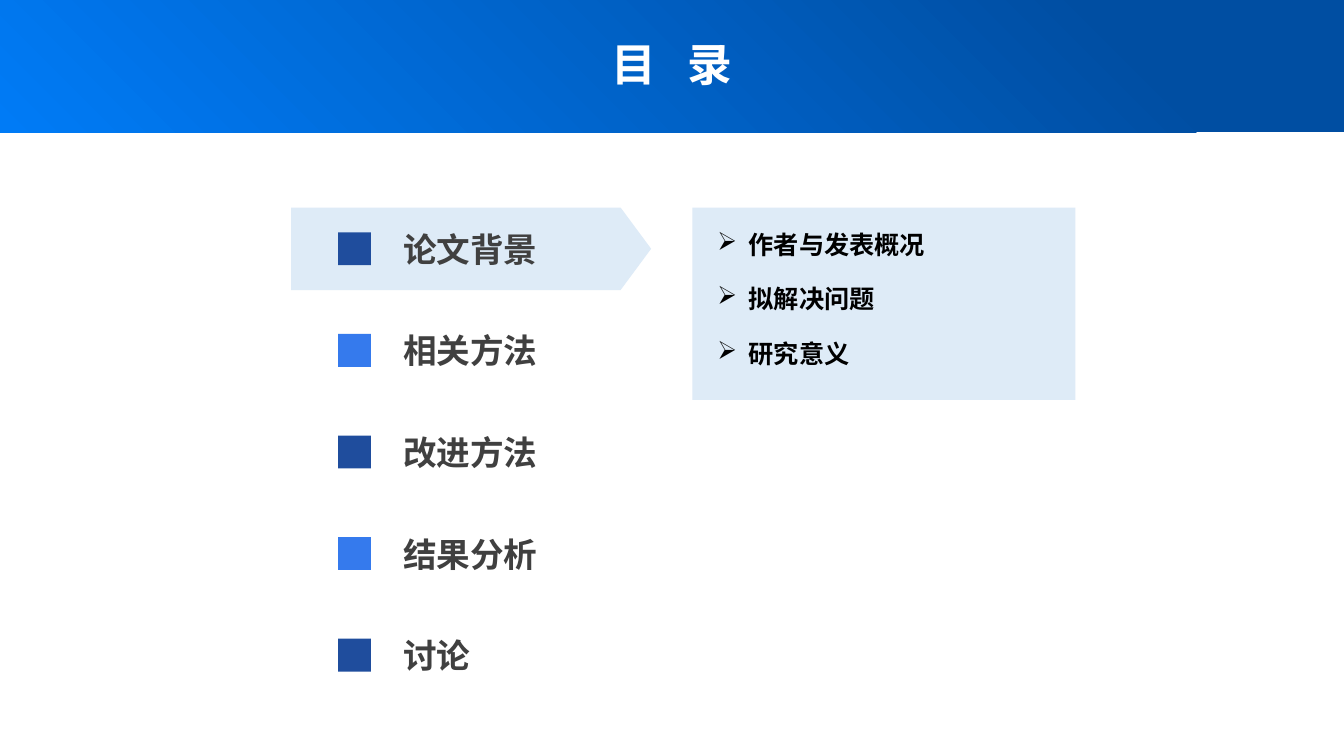
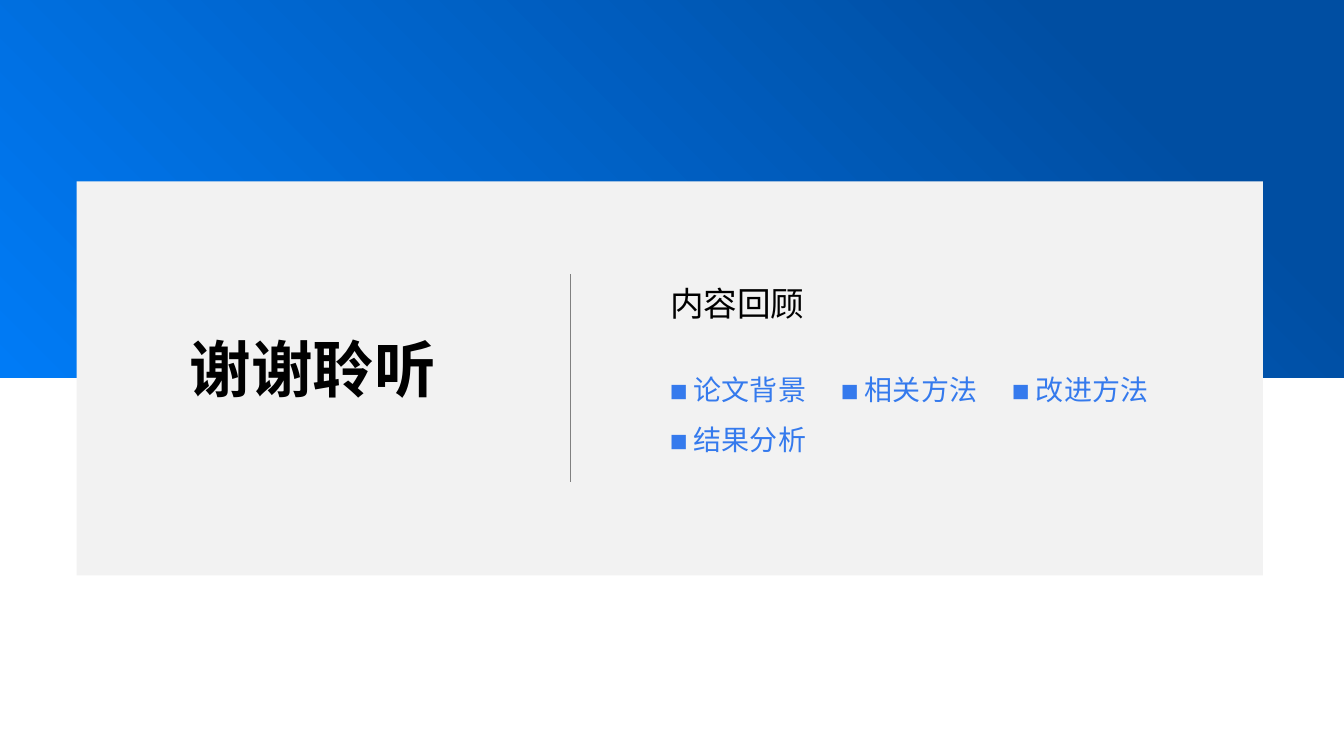
from lxml import etree
from pptx import Presentation
from pptx.dml.color import RGBColor
from pptx.enum.shapes import MSO_CONNECTOR, MSO_SHAPE
from pptx.enum.text import MSO_ANCHOR, MSO_AUTO_SIZE, PP_ALIGN
from pptx.oxml.ns import qn
from pptx.util import Cm, Pt

RECTANGLE = MSO_SHAPE.RECTANGLE
PENTAGON = MSO_SHAPE.PENTAGON
STRAIGHT = MSO_CONNECTOR.STRAIGHT
TOP = MSO_ANCHOR.TOP
MIDDLE = MSO_ANCHOR.MIDDLE
LEFT = PP_ALIGN.LEFT
CENTER = PP_ALIGN.CENTER
FIXED_SIZE = MSO_AUTO_SIZE.NONE

BAND_DARK = RGBColor(0x00, 0x4E, 0xA2)
BAND_BRIGHT = RGBColor(0x00, 0x7B, 0xF6)
NAVY = RGBColor(0x1F, 0x4D, 0x9D)
BLUE = RGBColor(0x35, 0x7A, 0xED)
PALE_BLUE = RGBColor(0xDE, 0xEB, 0xF7)
PALE_GRAY = RGBColor(0xF2, 0xF2, 0xF2)
RULE_GRAY = RGBColor(0x80, 0x80, 0x80)
TEXT_GRAY = RGBColor(0x40, 0x40, 0x40)
BLACK = RGBColor(0x00, 0x00, 0x00)
WHITE = RGBColor(0xFF, 0xFF, 0xFF)

FONT = "Noto Sans CJK SC"
SLIDE_WIDTH, SLIDE_HEIGHT = 33.87, 19.05
TITLE_ONLY = 5

BAND_TITLE = {"size": Pt(32), "bold": True, "color": WHITE}
CHAPTER = {"size": Pt(24), "bold": True, "color": TEXT_GRAY}
TOPIC = {"size": Pt(18), "bold": True, "color": BLACK}
CLOSING_TITLE = {"size": Pt(44), "bold": True, "color": BLACK}
RECAP_HEADING = {"size": Pt(24), "bold": False, "color": BLACK}
RECAP_ITEM = {"size": Pt(20), "bold": False, "color": BLUE}

CHAPTERS = ["论文背景", "相关方法", "改进方法", "结果分析", "讨论"]
TOPICS = ["作者与发表概况", "拟解决问题", "研究意义"]


def add_run(paragraph, text, text_format):
    run = paragraph.add_run()
    run.text = text
    run.font.name = FONT
    for name, value in text_format.items():
        if name == "color":
            run.font.color.rgb = value
        else:
            setattr(run.font, name, value)
    properties = run.font._element
    east_asian = etree.SubElement(properties, qn("a:ea"))
    east_asian.set("typeface", FONT)
    return run


def set_frame(shape, anchor, alignment):
    frame = shape.text_frame
    settings = {"word_wrap": True, "auto_size": FIXED_SIZE, "vertical_anchor": anchor}
    for name, value in settings.items():
        setattr(frame, name, value)
    paragraph = frame.paragraphs[0]
    paragraph.alignment = alignment
    return paragraph


def add_text(slide, box, text, text_format):
    shape = slide.shapes.add_textbox(*map(Cm, box))
    add_run(set_frame(shape, MIDDLE, LEFT), text, text_format)


def add_block(slide, box, color, preset=RECTANGLE):
    shape = slide.shapes.add_shape(preset, *map(Cm, box))
    shape.shadow.inherit = False
    shape.line.fill.background()
    shape.fill.solid()
    shape.fill.fore_color.rgb = color
    return shape


def add_band(slide, height):
    band = add_block(slide, (0, 0, SLIDE_WIDTH, height), BAND_DARK)
    band.fill.gradient()
    band.fill.gradient_angle = 225
    stops = [(0.17, BAND_DARK), (1, BAND_BRIGHT)]
    for stop, (position, color) in zip(band.fill.gradient_stops, stops):
        stop.position = position
        stop.color.rgb = color


def place_title(slide, box, alignment):
    title = slide.shapes.title
    slide.shapes.element.append(title.element)
    title.left, title.top, title.width, title.height = map(Cm, box)
    return set_frame(title, MIDDLE, alignment)


def add_chapter_list(slide, box, pitch):
    left, top, width, height = box
    square = 0.83
    marker = add_block(slide, box, PALE_BLUE, PENTAGON)
    marker.adjustments[0] = 0.37
    for index, chapter in enumerate(CHAPTERS):
        row_top = top + index * pitch
        square_top = row_top + (height - square) / 2
        color = BLUE if index % 2 else NAVY
        add_block(slide, (left + 1.18, square_top, square, square), color)
        add_text(slide, (left + 2.57, row_top, width - 2.57, height), chapter, CHAPTER)


def add_topic_panel(slide, box):
    panel = add_block(slide, box, PALE_BLUE)
    paragraph = set_frame(panel, TOP, LEFT)
    frame = panel.text_frame
    frame.margin_left, frame.margin_top = Cm(0.63), Cm(0.55)
    for index, topic in enumerate(TOPICS):
        if index:
            paragraph = frame.add_paragraph()
        paragraph.alignment = LEFT
        paragraph.space_after = Pt(17.3)
        add_run(paragraph, topic, TOPIC)
        properties = paragraph._p.get_or_add_pPr()
        properties.set("marL", str(Cm(0.79)))
        properties.set("indent", str(-Cm(0.79)))
        etree.SubElement(properties, qn("a:buChar")).set("char", "➢")


def add_divider(slide, left, top, height):
    ends = map(Cm, (left, top, left, top + height))
    divider = slide.shapes.add_connector(STRAIGHT, *ends)
    divider.line.color.rgb = RULE_GRAY
    divider.line.width = Pt(0.5)
    etree.SubElement(divider.element.spPr, qn("a:effectLst"))


def add_recap(slide, left, top):
    add_text(slide, (left, top, 4.01, 1.27), "内容回顾", RECAP_HEADING)
    for index, chapter in enumerate(CHAPTERS[:4]):
        row, column = divmod(index, 3)
        box = (left + column * 4.31, top + 2.24 + row * 1.27, 4.32, 1.12)
        add_text(slide, box, f"◼ {chapter}", RECAP_ITEM)


def build_contents(slide):
    add_band(slide, 3.33)
    paragraph = place_title(slide, (0, 0.8, SLIDE_WIDTH, 1.63), CENTER)
    spaced = add_run(paragraph, "目 ", BAND_TITLE)
    spaced.font._element.set("spc", "740")
    add_run(paragraph, "录", BAND_TITLE)
    add_chapter_list(slide, (7.34, 5.23, 9.07, 2.08), 2.56)
    add_topic_panel(slide, (17.45, 5.23, 9.65, 4.85))


def build_closing(slide):
    add_band(slide, SLIDE_HEIGHT / 2)
    left, top, width, height = 1.93, 4.57, 29.9, 9.93
    add_block(slide, (left, top, width, height), PALE_GRAY)
    paragraph = place_title(slide, (left + 2.59, top + 3.63, 6.83, 2.14), LEFT)
    add_run(paragraph, "谢谢聆听", CLOSING_TITLE)
    add_divider(slide, left + 12.45, top + 2.34, 5.23)
    add_recap(slide, left + 14.71, top + 2.44)


def main():
    presentation = Presentation()
    presentation.slide_width = Cm(SLIDE_WIDTH)
    presentation.slide_height = Cm(SLIDE_HEIGHT)
    layout = presentation.slide_layouts[TITLE_ONLY]
    for build in (build_contents, build_closing):
        build(presentation.slides.add_slide(layout))
    presentation.save("out.pptx")


if __name__ == "__main__":
    main()
